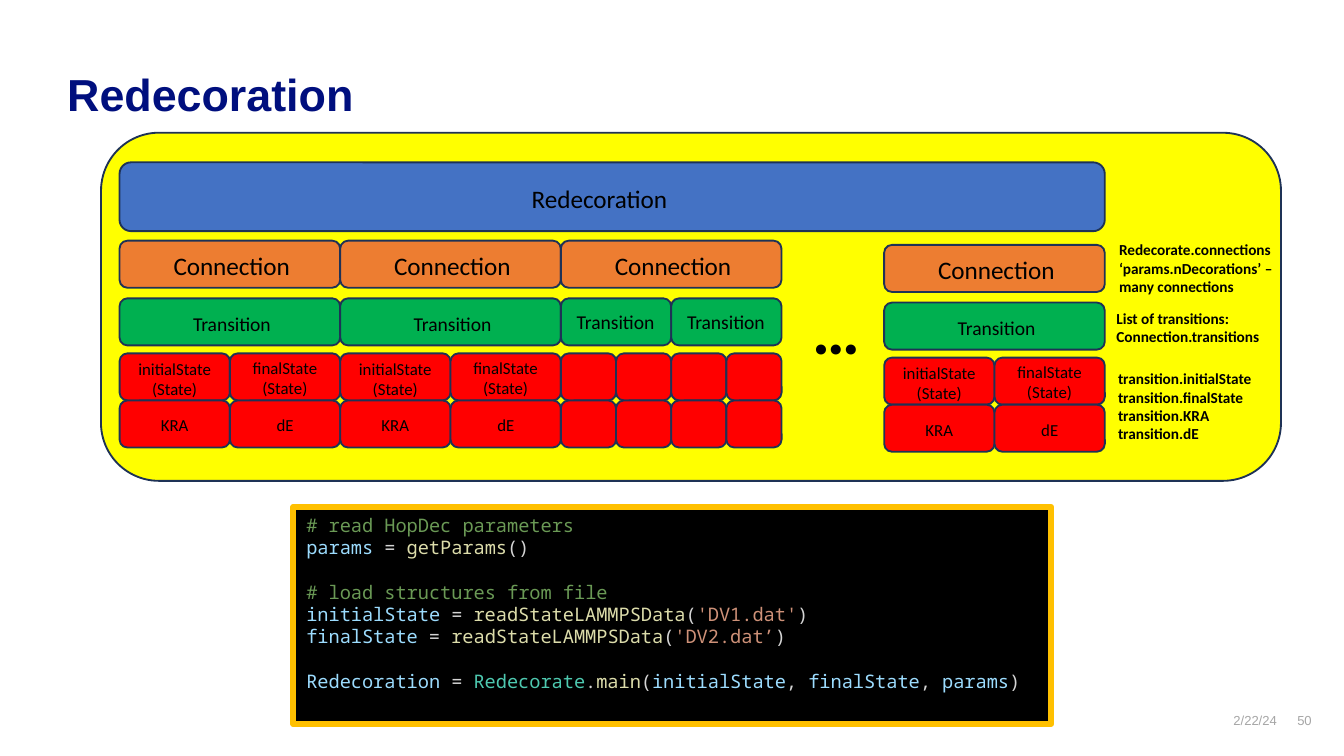
"""Build the Redecoration data structure slide with its example code."""
from pptx import Presentation
from pptx.dml.color import RGBColor
from pptx.enum.shapes import MSO_SHAPE
from pptx.enum.text import MSO_ANCHOR, PP_ALIGN
from pptx.util import Cm, Pt

RECTANGLE = MSO_SHAPE.RECTANGLE
ROUNDED = MSO_SHAPE.ROUNDED_RECTANGLE
TOP = MSO_ANCHOR.TOP
LEFT, CENTER, RIGHT = PP_ALIGN.LEFT, PP_ALIGN.CENTER, PP_ALIGN.RIGHT

YELLOW, BLUE, ORANGE, GREEN, RED = "FFFF00", "4472C4", "ED7D31", "00B050", "FF0000"
BLACK, NAVY, GRAY, OUTLINE, GOLD = "000000", "000F7E", "A6A6A6", "1E3256", "FFC000"
COMMENT, VARIABLE, PLAIN = "6A9955", "9CDCFE", "D4D4D4"
FUNCTION, STRING, CLASS = "DCDCAA", "CE9178", "4EC9B0"

GROUP_LEFT, GROUP_WIDTH = 2.26, 4.17
HALF, QUARTER = GROUP_WIDTH / 2, GROUP_WIDTH / 4
BOX_HEIGHT = 0.89
CONNECTION_TOP, TRANSITION_TOP, STATE_TOP = 4.55, 5.64, 6.68
LAST_LEFT, LAST_DROP = 16.71, 0.08

STATE_LABELS = [
    ("initialState (State)", -0.13, -0.03, 2.34, 1.02),
    ("finalState (State)", HALF, -0.05, 2.08, 1.02),
    ("KRA", -0.13, 1.04, 2.34, 0.64),
    ("dE", 1.96, 1.04, 2.34, 0.64),
]
NOTES = [
    (20.9, 4.42, 1.32, ["Redecorate.connections", "‘params.nDecorations’ – many connections"]),
    (20.85, 5.72, 0.97, ["List of transitions:", "Connection.transitions"]),
    (20.88, 6.86, 1.68, ["transition.initialState", "transition.finalState",
                         "transition.KRA", "transition.dE"]),
]


def read_call(variable, file_text):
    return [(variable, VARIABLE), (" = ", PLAIN), ("readStateLAMMPSData", FUNCTION),
            ("(", PLAIN), (file_text, STRING), (")", PLAIN)]


CODE_BLOCKS = [
    [
        [("# read HopDec parameters", COMMENT)],
        [("params", VARIABLE), (" = ", PLAIN), ("getParams", FUNCTION), ("()", PLAIN)],
    ],
    [
        [("# load structures from file", COMMENT)],
        read_call("initialState", "'DV1.dat'"),
        read_call("finalState", "'DV2.dat’"),
    ],
    [
        [("Redecoration", VARIABLE), (" = ", PLAIN), ("Redecorate", CLASS), (".", PLAIN),
         ("main", FUNCTION), ("(", PLAIN), ("initialState", VARIABLE), (", ", PLAIN),
         ("finalState", VARIABLE), (", ", PLAIN), ("params", VARIABLE), (")", PLAIN)],
    ],
]


def color(value):
    return RGBColor.from_string(value)


class SlideBuilder:
    def __init__(self, slide, font="Calibri", code_font="Noto Sans Mono"):
        self.slide = slide
        self.font = font
        self.code_font = code_font

    def box(self, left, top, width, height, fill, kind=ROUNDED, line=OUTLINE, weight=1):
        shape = self.slide.shapes.add_shape(kind, Cm(left), Cm(top), Cm(width), Cm(height))
        shape.shadow.inherit = False
        shape.fill.solid()
        shape.fill.fore_color.rgb = color(fill)
        shape.line.color.rgb = color(line)
        shape.line.width = Pt(weight)
        return shape

    def text(self, left, top, width, height, lines, size, font=None, fill=BLACK,
             bold=False, align=LEFT, wrap=True, inset=True):
        shape = self.slide.shapes.add_textbox(Cm(left), Cm(top), Cm(width), Cm(height))
        frame = shape.text_frame
        frame.word_wrap = wrap
        if not inset:
            frame.margin_left = frame.margin_right = Cm(0)
            frame.margin_top = frame.margin_bottom = Cm(0)
        frame.text = "\n".join(lines)
        for paragraph in frame.paragraphs:
            paragraph.alignment = align
            paragraph.font.name = font or self.font
            paragraph.font.size = Pt(size)
            paragraph.font.bold = bold
            paragraph.font.color.rgb = color(fill)

    def connection(self, left, drop=0):
        top = CONNECTION_TOP + drop
        self.box(left, top, GROUP_WIDTH, BOX_HEIGHT, ORANGE)
        self.text(left + 0.77, top + 0.05, 2.77, 0.84, ["Connection"], 13.5, wrap=False)

    def transition(self, left, drop=0):
        top = TRANSITION_TOP + drop
        self.box(left, top, GROUP_WIDTH, BOX_HEIGHT, GREEN)
        self.text(left + 1.14, top + 0.13, 2.03, 0.71, ["Transition"], 10.5, wrap=False)

    def half_transition(self, left):
        self.box(left, TRANSITION_TOP, HALF, BOX_HEIGHT, GREEN)
        self.text(left + 0.05, TRANSITION_TOP + 0.1, 2.1, 0.71, ["Transition"], 10.5)

    def state_grid(self, left, columns, width, drop=0):
        for row in range(2):
            for column in range(columns):
                self.box(left + column * width, STATE_TOP + drop + row * BOX_HEIGHT,
                         width, BOX_HEIGHT, RED)

    def states(self, left, drop=0):
        self.state_grid(left, 2, HALF, drop)
        for label, shift, offset, width, height in STATE_LABELS:
            self.text(left + shift, STATE_TOP + drop + offset, width, height,
                      [label], 9, align=CENTER)

    def full_group(self, left, drop=0):
        self.connection(left, drop)
        self.transition(left, drop)
        self.states(left, drop)

    def code(self, left, top, width, height, blocks):
        shape = self.box(left, top, width, height, BLACK, RECTANGLE, GOLD, 3)
        frame = shape.text_frame
        frame.word_wrap = True
        frame.vertical_anchor = TOP
        lines = [(line, block is not blocks[0] and line is block[0])
                 for block in blocks for line in block]
        for index, (line, gap) in enumerate(lines):
            paragraph = frame.add_paragraph() if index else frame.paragraphs[0]
            paragraph.alignment = LEFT
            paragraph.line_spacing = Pt(12)
            paragraph.space_before = Pt(12 if gap else 0)
            paragraph.font.name = self.code_font
            paragraph.font.size = Pt(10)
            for words, fill in line:
                run = paragraph.add_run()
                run.text = words
                run.font.color.rgb = color(fill)


def main():
    presentation = Presentation()
    presentation.slide_width, presentation.slide_height = Cm(25.4), Cm(14.29)
    builder = SlideBuilder(presentation.slides.add_slide(presentation.slide_layouts[6]))

    builder.text(24.18, 13.46, 0.61, 0.56, ["50"], 7, "Arial", GRAY, align=RIGHT, inset=False)
    builder.text(22.43, 13.46, 1.7, 0.41, ["2/22/24"], 7, "Arial", GRAY, align=RIGHT, inset=False)
    builder.text(1.27, 1.27, 22.94, 1.85, ["Redecoration"], 24, "Arial", NAVY, True, inset=False)

    builder.box(1.91, 2.51, 22.3, 6.58, YELLOW)
    builder.box(GROUP_LEFT, 3.07, 18.62, 1.3, BLUE)
    builder.text(9.8, 3.35, 3.12, 0.84, ["Redecoration"], 13.5, wrap=False)

    for column in range(2):
        builder.full_group(GROUP_LEFT + column * GROUP_WIDTH)
    split_left = GROUP_LEFT + 2 * GROUP_WIDTH
    builder.connection(split_left)
    for column in range(2):
        builder.half_transition(split_left + column * HALF)
    builder.state_grid(split_left, 4, QUARTER)
    builder.text(15.11, 5.31, 1.42, 1.8, ["…"], 36, bold=True, wrap=False)
    builder.full_group(LAST_LEFT, LAST_DROP)

    for left, top, height, lines in NOTES:
        builder.text(left, top, 3.68, height, lines, 8.2, bold=True)
    builder.code(5.54, 9.58, 14.33, 4.11, CODE_BLOCKS)
    presentation.save("out.pptx")


if __name__ == "__main__":
    main()
